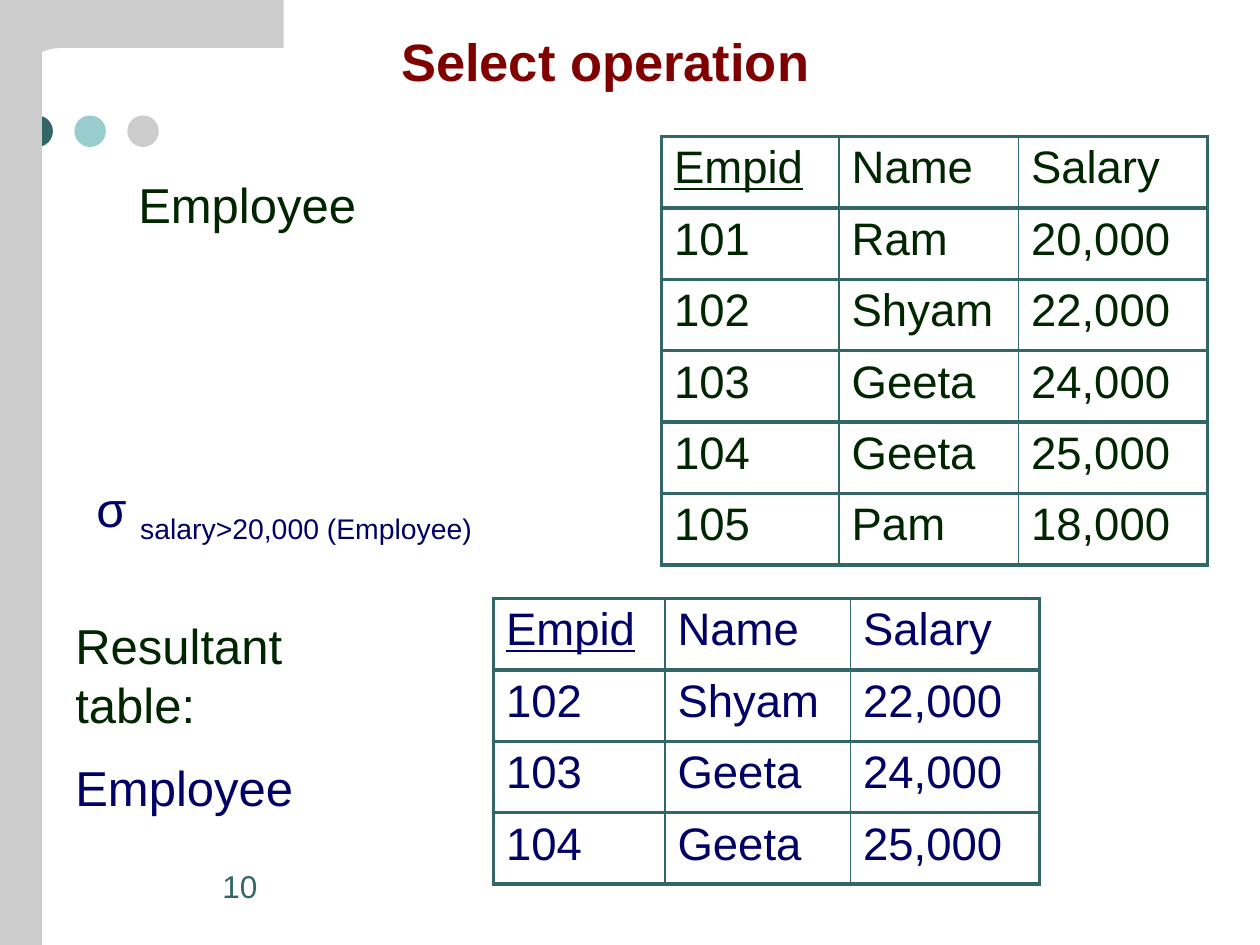
from dataclasses import dataclass

from pptx import Presentation
from pptx.dml.color import RGBColor as Color
from pptx.enum.shapes import MSO_SHAPE as Preset
from pptx.enum.text import MSO_ANCHOR as Anchor, MSO_AUTO_SIZE as AutoSize, PP_ALIGN as Align
from pptx.oxml import parse_xml
from pptx.oxml.ns import nsdecls
from pptx.util import Pt


@dataclass(frozen=True)
class Theme:
    """Colours, font and type sizes of the deck."""
    font: str = "Arial"
    teal: str = "336666"
    aqua: str = "99CCCC"
    grey: str = "CCCCCC"
    maroon: str = "800000"
    green: str = "002600"
    navy: str = "000066"
    title: float = 30
    label: float = 28
    cell: float = 26
    number: float = 18
    outer: float = 2.25
    inner: float = 1


@dataclass(frozen=True)
class Box:
    """A rectangle in points."""
    left: float
    top: float
    width: float
    height: float

    def lengths(self):
        """Return the four sides as slide lengths."""
        return [Pt(side) for side in (self.left, self.top, self.width, self.height)]


THEME = Theme()


def write(para, text, *, size, color, bold=False, underline=False, baseline=0, before=0):
    """Add one formatted span to a paragraph."""
    if before:
        para.space_before = Pt(before)
    span = para.add_run()
    span.text = text
    font = span.font
    font.name, font.size, font.bold = THEME.font, Pt(size), bold
    font.underline = underline
    font.color.rgb = Color.from_string(color)
    if baseline:
        span._r.get_or_add_rPr().set("baseline", str(baseline * 1000))


def paint(shape, color):
    """Give a shape a plain fill without line or shadow."""
    shape.shadow.inherit = False
    shape.fill.solid()
    shape.fill.fore_color.rgb = Color.from_string(color)
    shape.line.fill.background()


def add_frame(page, box):
    """Add a wrapping text box and return its text frame."""
    frame = page.shapes.add_textbox(*box.lengths()).text_frame
    frame.word_wrap = True
    return frame


def add_dots(page, box):
    """Place three evenly spaced dots across the box."""
    colors = (THEME.teal, THEME.aqua, THEME.grey)
    step = (box.width - box.height) / (len(colors) - 1)
    for index, color in enumerate(colors):
        dot = Box(box.left + index * step, box.top, box.height, box.height)
        paint(page.shapes.add_shape(Preset.OVAL, *dot.lengths()), color)


def add_side_band(page, box):
    """Fill the box with the grey side band."""
    paint(page.shapes.add_shape(Preset.RECTANGLE, *box.lengths()), THEME.grey)


def add_corner(page, box):
    """Draw the corner bar with a rounded inner edge."""
    bar, stem = 27.4, 18
    edge = [(box.width, 0), (box.width, bar), (35.3, bar), (32, 27.5), (28.8, 28.1),
            (25.8, 29), (23, 30.4), (21, 32), (19.4, 33.9), (18.4, 36), (stem, 38.2),
            (stem, box.height), (0, box.height)]
    points = [(Pt(box.left + x), Pt(box.top + y)) for x, y in edge]
    builder = page.shapes.build_freeform(Pt(box.left), Pt(box.top))
    builder.add_line_segments(points, close=True)
    paint(builder.convert_to_shape(), THEME.grey)


def add_title(page, box, text):
    """Move the title placeholder into the box and fill it."""
    title = page.shapes.title
    title.left, title.top, title.width, title.height = box.lengths()
    frame = title.text_frame
    frame.auto_size, frame.vertical_anchor = AutoSize.NONE, Anchor.MIDDLE
    para = frame.paragraphs[0]
    para.alignment = Align.LEFT
    write(para, text, size=THEME.title, color=THEME.maroon, bold=True)


def add_label(page, box, lines, size=THEME.label):
    """Write coloured lines, one paragraph each."""
    frame = add_frame(page, box)
    for index, (text, color) in enumerate(lines):
        para = frame.add_paragraph() if index else frame.paragraphs[0]
        write(para, text, size=size, color=color, before=size / 2 if index else 0)


def add_selection(page, box, condition):
    """Write the selection operator with its condition as subscript."""
    para = add_frame(page, box).paragraphs[0]
    write(para, "σ ", size=THEME.label, color=THEME.navy)
    write(para, condition, size=THEME.label, color=THEME.navy, baseline=-25)


def set_borders(cell, left, right):
    """Draw the four borders of a cell."""
    widths = {"lnL": left, "lnR": right, "lnT": THEME.outer, "lnB": THEME.outer}
    properties = cell._tc.get_or_add_tcPr()
    for index, (side, width) in enumerate(widths.items()):
        properties.insert(index, parse_xml(
            f'<a:{side} {nsdecls("a")} w="{Pt(width)}"><a:solidFill>'
            f'<a:srgbClr val="{THEME.teal}"/></a:solidFill></a:{side}>'))


def add_relation(page, box, rows, widths, color):
    """Place a relation table with its key column underlined."""
    table = page.shapes.add_table(len(rows), len(widths), *box.lengths()).table
    table.first_row = table.horz_banding = False
    for column, width in zip(table.columns, widths):
        column.width = Pt(width)
    last = len(widths) - 1
    for r, row in enumerate(rows):
        table.rows[r].height = Pt(box.height / len(rows))
        for c, text in enumerate(row):
            cell = table.cell(r, c)
            cell.fill.background()
            set_borders(cell, THEME.inner if c else THEME.outer,
                        THEME.inner if c < last else THEME.outer)
            write(cell.text_frame.paragraphs[0], text, size=THEME.cell, color=color,
                  underline=r == 0 and c == 0)


def main():
    """Build the slide and save it."""
    deck = Presentation()
    deck.slide_width, deck.slide_height = Pt(720), Pt(540)
    page = deck.slides.add_slide(deck.slide_layouts[5])

    header = ("Empid", "Name", "Salary")
    employees = [("101", "Ram", "20,000"), ("102", "Shyam", "22,000"),
                 ("103", "Geeta", "24,000"), ("104", "Geeta", "25,000"),
                 ("105", "Pam", "18,000")]
    selected = employees[1:4]

    add_dots(page, Box(12.24, 66, 78.5, 18))
    add_side_band(page, Box(0, 0, 24, 540))
    add_corner(page, Box(0, 0, 162, 41.8))
    add_label(page, Box(120, 492, 102, 36), [("10", THEME.teal)], THEME.number)
    add_title(page, Box(222, 12, 294, 45), "Select operation")
    add_relation(page, Box(378, 78, 312, 244.8), [header, *employees],
                 (101.5, 102.5, 108), THEME.green)
    add_selection(page, Box(48, 270, 306, 41), "salary>20,000 (Employee)")
    add_relation(page, Box(282, 342, 312, 163.2), [header, *selected],
                 (98, 106, 108), THEME.navy)
    add_label(page, Box(36, 348, 168, 125),
              [("Resultant table:", THEME.green), ("Employee", THEME.navy)])
    add_label(page, Box(72, 96, 210, 41), [("Employee", THEME.green)])
    deck.save("out.pptx")


if __name__ == "__main__":
    main()
